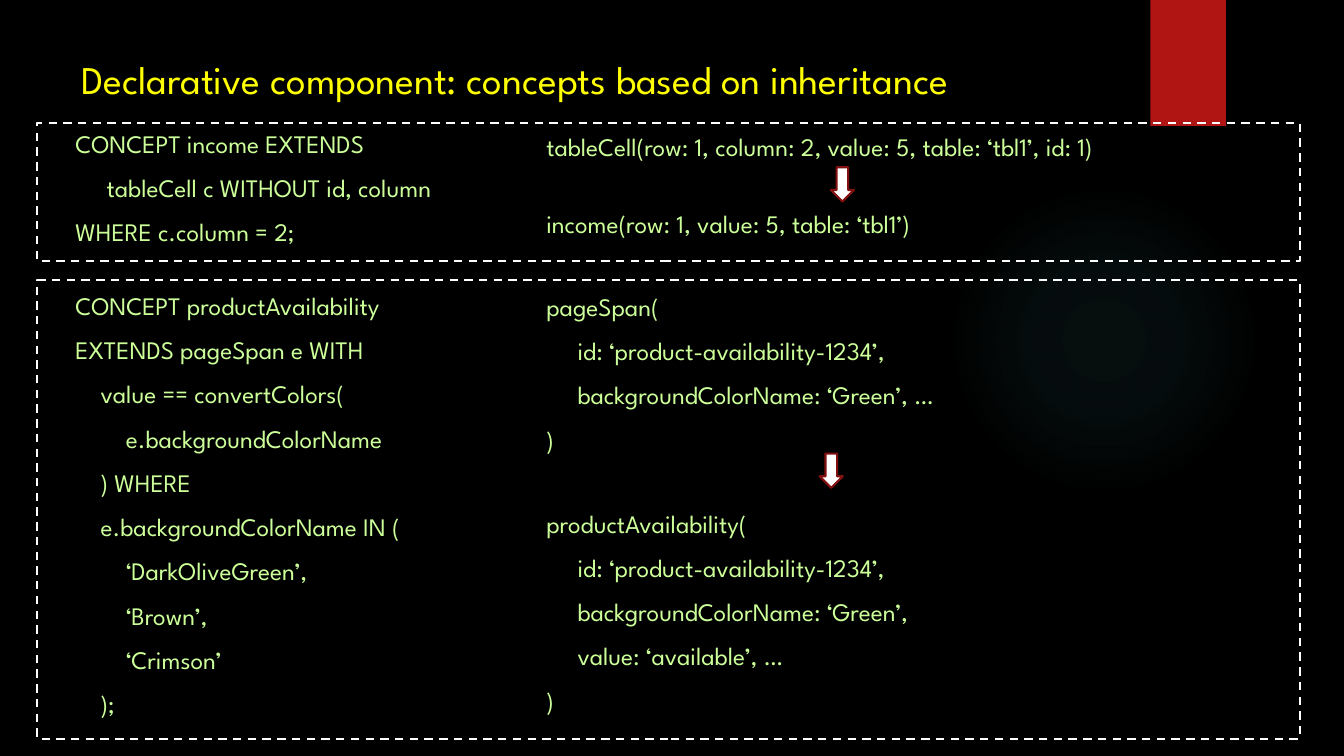
from lxml.etree import fromstring
from pptx import Presentation
from pptx.dml.color import RGBColor
from pptx.enum.dml import MSO_LINE
from pptx.enum.shapes import MSO_SHAPE
from pptx.util import Inches, Pt

BLACK = RGBColor(0x00, 0x00, 0x00)
WHITE = RGBColor(0xFF, 0xFF, 0xFF)
RED = RGBColor(0xB0, 0x15, 0x13)
DARK_RED = RGBColor(0x82, 0x10, 0x0E)
YELLOW = RGBColor(0xFF, 0xFF, 0x00)
LIGHT_GREEN = RGBColor(0xCC, 0xFF, 0x99)
TEAL = RGBColor(0x50, 0xB9, 0xC1)
FONT = "League Spartan"
NAMESPACE = "http://schemas.openxmlformats.org/drawingml/2006/main"

presentation = Presentation()
presentation.slide_width = Inches(13.33)
presentation.slide_height = Inches(7.5)
slide = presentation.slides.add_slide(presentation.slide_layouts[6])
slide.background.fill.solid()
slide.background.fill.fore_color.rgb = BLACK


def add_text(lines, left, top, width, height, size=18, color=LIGHT_GREEN, before=10):
    box = slide.shapes.add_textbox(Inches(left), Inches(top), Inches(width), Inches(height))
    frame = box.text_frame
    frame.word_wrap = True
    for index, (text, indent) in enumerate(lines):
        paragraph = frame.paragraphs[0] if index == 0 else frame.add_paragraph()
        paragraph.space_before = Pt(before)
        paragraph.line_spacing = Pt(size * 1.2)
        paragraph._p.get_or_add_pPr().set("marL", str(Inches(indent)))
        run = paragraph.add_run()
        run.text = text
        run.font.name = FONT
        run.font.size = Pt(size)
        run.font.color.rgb = color


def add_shape(kind, left, top, width, height, fill=None, line=None):
    shape = slide.shapes.add_shape(kind, Inches(left), Inches(top), Inches(width), Inches(height))
    shape.shadow.inherit = False
    if fill is None:
        shape.fill.background()
    else:
        shape.fill.solid()
        shape.fill.fore_color.rgb = fill
    if line is None:
        shape.line.fill.background()
    else:
        shape.line.color.rgb = line
        shape.line.width = Pt(1.5)
    return shape


glow = add_shape(MSO_SHAPE.OVAL, 9.41, 1.83, 3.08, 3.08)
stops = "".join(
    f'<a:gs pos="{position * 1000}"><a:srgbClr val="{TEAL}">'
    f'<a:alpha val="{alpha * 1000}"/></a:srgbClr></a:gs>'
    for position, alpha in [(0, 7), (36, 6), (69, 0)]
)
gradient = fromstring(
    f'<a:gradFill xmlns:a="{NAMESPACE}"><a:gsLst>{stops}</a:gsLst><a:path path="circle">'
    '<a:fillToRect l="50000" t="50000" r="50000" b="50000"/></a:path></a:gradFill>'
)
properties = glow._element.spPr
properties.replace(properties.find(f"{{{NAMESPACE}}}noFill"), gradient)

add_shape(MSO_SHAPE.RECTANGLE, 11.41, 0, 0.75, 1.25, fill=RED)

add_text([("Declarative component: concepts based on inheritance", 0)],
         0.71, 0.5, 11.41, 0.74, size=28, color=YELLOW, before=0)

add_text([
    ("CONCEPT income EXTENDS", 0),
    ("tableCell c WITHOUT id, column", 0.31),
    ("WHERE c.column = 2;", 0),
], 0.65, 1.22, 5.68, 1.88)

add_text([
    ("CONCEPT productAvailability", 0),
    ("EXTENDS pageSpan e WITH", 0),
    ("value == convertColors(", 0.25),
    ("e.backgroundColorName", 0.5),
    (") WHERE", 0.25),
    ("e.backgroundColorName IN (", 0.25),
    ("‘DarkOliveGreen’,", 0.5),
    ("‘Brown’,", 0.5),
    ("‘Crimson’", 0.5),
    (");", 0.25),
], 0.65, 2.83, 6.43, 4.49)

add_text([("tableCell(row: 1, column: 2, value: 5, table: ‘tbl1’, id: 1)", 0)],
         5.32, 1.25, 7.57, 0.57)
add_text([("income(row: 1, value: 5, table: ‘tbl1’)", 0)], 5.32, 2.02, 5, 0.56)

add_text([
    ("pageSpan(", 0),
    ("id: ‘product-availability-1234’,", 0.31),
    ("backgroundColorName: ‘Green’, …", 0.31),
    (")", 0),
], 5.32, 2.84, 6.91, 1.84)

add_text([
    ("productAvailability(", 0),
    ("id: ‘product-availability-1234’,", 0.31),
    ("backgroundColorName: ‘Green’,", 0.31),
    ("value: ‘available’, …", 0.31),
    (")", 0),
], 5.32, 4.99, 7.4, 2.02)

for left, top in [(8.24, 1.66), (8.13, 4.5)]:
    add_shape(MSO_SHAPE.DOWN_ARROW, left, top, 0.23, 0.34, fill=WHITE, line=DARK_RED)

for top, height in [(1.22, 1.37), (2.78, 4.55)]:
    frame_box = add_shape(MSO_SHAPE.RECTANGLE, 0.37, top, 12.52, height, line=WHITE)
    frame_box.line.dash_style = MSO_LINE.DASH

presentation.save("out.pptx")
